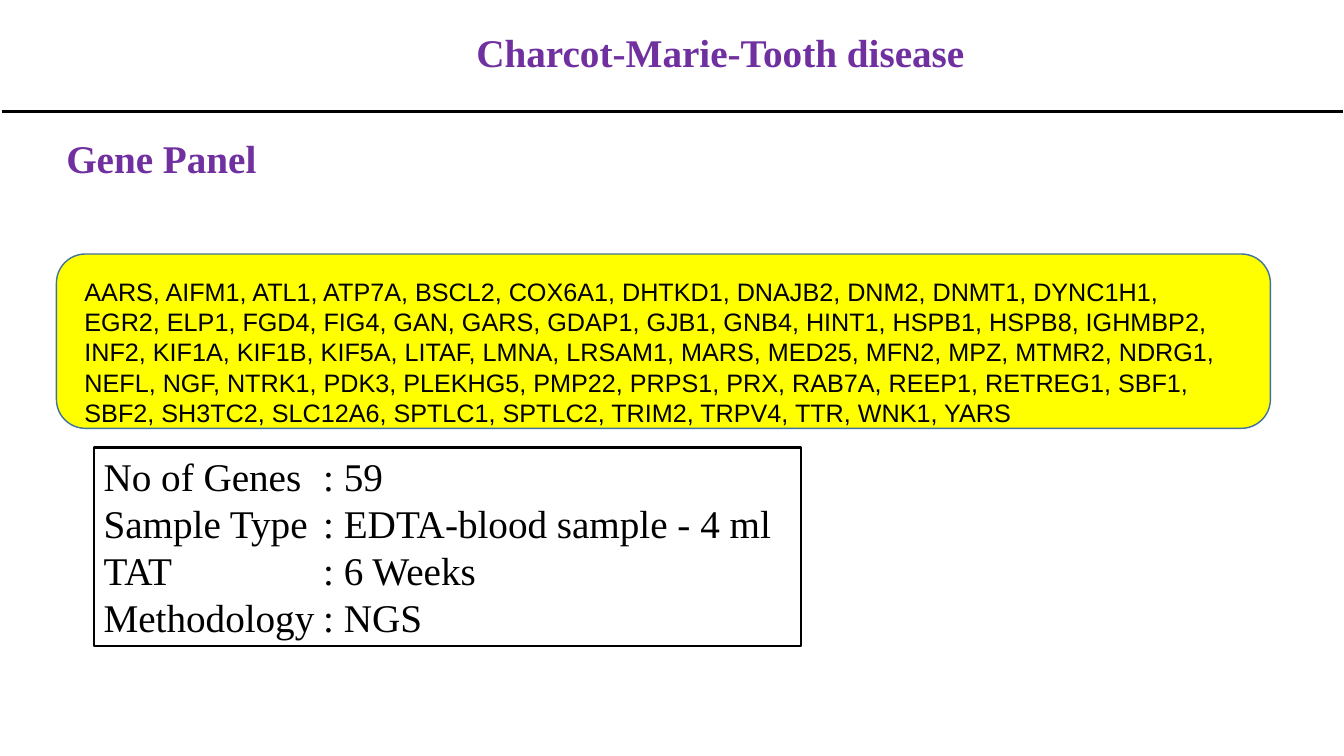
from dataclasses import dataclass, field

from lxml.etree import SubElement
from pptx import Presentation
from pptx.dml.color import RGBColor
from pptx.enum.shapes import MSO_CONNECTOR, MSO_SHAPE
from pptx.enum.text import MSO_ANCHOR as Anchor, MSO_AUTO_SIZE as AutoSize, PP_ALIGN as Align
from pptx.oxml.ns import qn
from pptx.util import Pt

PX = 9144  # EMU: 100 px to the inch
SLIDE_WIDTH, SLIDE_HEIGHT = 1334, 750
COLON_STOP = 218

PURPLE, BLACK, YELLOW, BLUE = "7030A0", "000000", "FFFF00", "41719C"
HEADING = {"name": "Times New Roman", "size": Pt(28), "bold": True}
DETAIL = {"name": "Times New Roman", "size": Pt(28)}
GENE = {"name": "Arial", "size": Pt(18)}

GENES = (
    "AARS, AIFM1, ATL1, ATP7A, BSCL2, COX6A1, DHTKD1, DNAJB2, DNM2, DNMT1, DYNC1H1, "
    "EGR2, ELP1, FGD4, FIG4, GAN, GARS, GDAP1, GJB1, GNB4, HINT1, HSPB1, HSPB8, IGHMBP2, "
    "INF2, KIF1A, KIF1B, KIF5A, LITAF, LMNA, LRSAM1, MARS, MED25, MFN2, MPZ, MTMR2, NDRG1, "
    "NEFL, NGF, NTRK1, PDK3, PLEKHG5, PMP22, PRPS1, PRX, RAB7A, REEP1, RETREG1, SBF1, "
    "SBF2, SH3TC2, SLC12A6, SPTLC1, SPTLC2, TRIM2, TRPV4, TTR, WNK1, YARS"
)
TEST_DETAILS = {
    "No of Genes": "59",
    "Sample Type": "EDTA-blood sample - 4 ml",
    "TAT": "6 Weeks",
    "Methodology": "NGS",
}


@dataclass
class TextBlock:
    box: tuple[int, int, int, int]
    lines: list[str]
    font: dict
    color: str = BLACK
    frame: dict = field(default_factory=lambda: {"auto_size": AutoSize.SHAPE_TO_FIT_TEXT})
    paragraph: dict = field(default_factory=dict)
    border: float = 0
    tab_stop: int = 0


TEXT_BLOCKS = [
    TextBlock((140, 0, 1150, 109), ["Charcot-Marie-Tooth disease"], HEADING, PURPLE,
              frame={"vertical_anchor": Anchor.MIDDLE},
              paragraph={"alignment": Align.CENTER, "line_spacing": 0.9}),
    TextBlock((74, 269, 1150, 160), [GENES], GENE),
    TextBlock((93, 444, 702, 197),
              [f"{label}\t: {value}" for label, value in TEST_DETAILS.items()],
              DETAIL, border=1.5, tab_stop=COLON_STOP),
    TextBlock((56, 128, 379, 57), ["Gene Panel"], HEADING, PURPLE),
]


def rgb(color: str) -> RGBColor:
    return RGBColor.from_string(color)


def emu(lengths: tuple[int, ...]) -> list[int]:
    return [length * PX for length in lengths]


def apply(target, values: dict) -> None:
    """Set each named format value on the target."""
    for name, value in values.items():
        setattr(target, name, value)


def set_line(line, color: str, width: float) -> None:
    line.color.rgb = rgb(color)
    line.width = Pt(width)


def add_tab_stop(paragraph, position: int) -> None:
    tabs = SubElement(paragraph._p.get_or_add_pPr(), qn("a:tabLst"))
    SubElement(tabs, qn("a:tab"), pos=str(position * PX), algn="l")


def draw_text(slide, block: TextBlock) -> None:
    text_box = slide.shapes.add_textbox(*emu(block.box))
    if block.border:
        set_line(text_box.line, BLACK, block.border)
    frame = text_box.text_frame
    frame.word_wrap = True
    apply(frame, block.frame)
    frame.text = "\n".join(block.lines)
    for paragraph in frame.paragraphs:
        apply(paragraph, block.paragraph)
        if block.tab_stop:
            add_tab_stop(paragraph, block.tab_stop)
        for run in paragraph.runs:
            apply(run.font, block.font)
            run.font.color.rgb = rgb(block.color)


def draw_title_rule(slide) -> None:
    rule = slide.shapes.add_connector(MSO_CONNECTOR.STRAIGHT, *emu((2, 111, 1333, 111)))
    set_line(rule.line, BLACK, 2.25)
    SubElement(rule._element.spPr, qn("a:effectLst"))


def draw_gene_panel(slide) -> None:
    panel = slide.shapes.add_shape(MSO_SHAPE.ROUNDED_RECTANGLE, *emu((56, 252, 1205, 173)))
    panel.shadow.inherit = False
    panel.fill.solid()
    panel.fill.fore_color.rgb = rgb(YELLOW)
    set_line(panel.line, BLUE, 1)


def main() -> None:
    deck = Presentation()
    deck.slide_width, deck.slide_height = emu((SLIDE_WIDTH, SLIDE_HEIGHT))
    slide = deck.slides.add_slide(deck.slide_layouts[6])
    draw_title_rule(slide)
    draw_gene_panel(slide)
    for block in TEXT_BLOCKS:
        draw_text(slide, block)
    deck.save("out.pptx")


if __name__ == "__main__":
    main()
